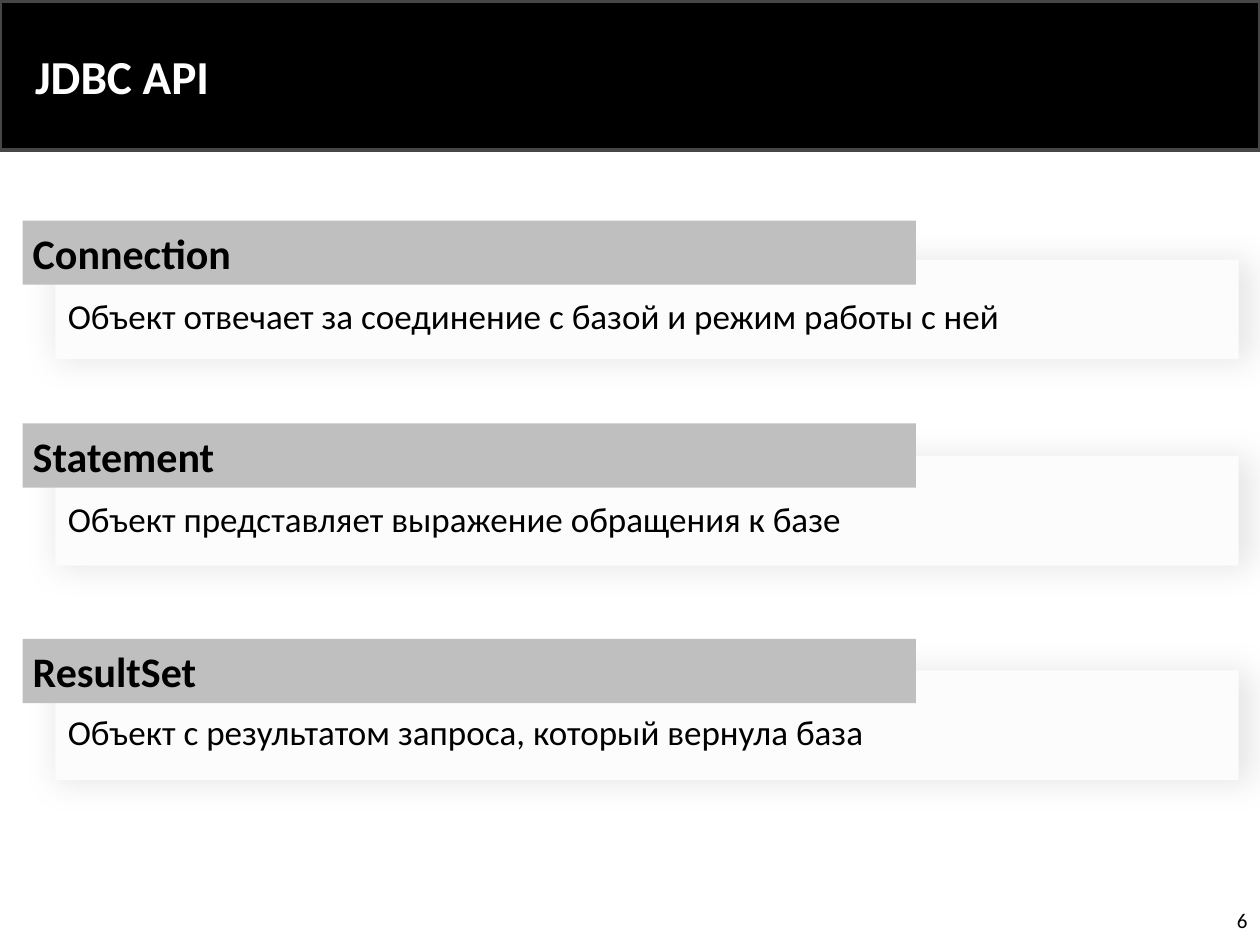
from dataclasses import dataclass

import lxml.etree
import pptx
import pptx.dml.color
import pptx.enum.shapes
import pptx.enum.text
import pptx.oxml
import pptx.oxml.ns
import pptx.util

COLUMNS, ROWS = 1000, 750
FONT = "Calibri"
COLORS = {
    "banner": "000000",
    "banner_edge": "464646",
    "heading": "BFBFBF",
    "panel": "FCFCFC",
    "shadow": "000000",
    "text": "000000",
    "title": "FFFFFF",
}
ANCHOR = pptx.enum.text.MSO_ANCHOR
ALIGN = pptx.enum.text.PP_ALIGN


@dataclass(frozen=True)
class Area:
    column: int
    row: int
    columns: int
    rows: int


@dataclass(frozen=True)
class Section:
    heading: str
    description: str
    heading_row: int
    panel_row: int
    panel_rows: int
    description_row: int


SECTIONS = [
    Section("Connection", "Объект отвечает за соединение с базой и режим работы с ней",
            175, 206, 79, 229),
    Section("Statement", "Объект представляет выражение обращения к базе",
            336, 362, 87, 390),
    Section("ResultSet", "Объект с результатом запроса, который вернула база",
            507, 532, 87, 559),
]

deck = pptx.Presentation()
deck.slide_width = pptx.util.Inches(10)
deck.slide_height = pptx.util.Inches(7.5)
slide = deck.slides.add_slide(deck.slide_layouts[6])


def color(name: str) -> pptx.dml.color.RGBColor:
    return pptx.dml.color.RGBColor.from_string(COLORS[name])


def place(area: Area) -> tuple[int, int, int, int]:
    cell_width = deck.slide_width / COLUMNS
    cell_height = deck.slide_height / ROWS
    return (round(area.column * cell_width), round(area.row * cell_height),
            round(area.columns * cell_width), round(area.rows * cell_height))


def add_block(area: Area, fill: str):
    block = slide.shapes.add_shape(pptx.enum.shapes.MSO_SHAPE.RECTANGLE, *place(area))
    block.shadow.inherit = False
    block.fill.solid()
    block.fill.fore_color.rgb = color(fill)
    block.line.fill.background()
    return block


def add_soft_shadow(block) -> None:
    effects = block._element.spPr.find(pptx.oxml.ns.qn("a:effectLst"))
    shadow = lxml.etree.SubElement(
        effects, pptx.oxml.ns.qn("a:outerShdw"),
        blurRad=str(pptx.util.Pt(19)), dist="0", dir="0",
        sx="101000", sy="101000", algn="tl", rotWithShape="0")
    tint = lxml.etree.SubElement(shadow, pptx.oxml.ns.qn("a:srgbClr"), val=COLORS["shadow"])
    lxml.etree.SubElement(tint, pptx.oxml.ns.qn("a:alpha"), val="10000")


def write(holder, text: str, size: int, ink: str = "text", bold: bool = False,
          anchor=ANCHOR.MIDDLE, align=ALIGN.LEFT) -> None:
    frame = holder.text_frame
    frame.word_wrap = True
    frame.vertical_anchor = anchor
    frame.text = text
    paragraph = frame.paragraphs[0]
    paragraph.alignment = align
    font = paragraph.runs[0].font
    font.name = FONT
    font.size = pptx.util.Pt(size)
    font.bold = bold
    font.color.rgb = color(ink)


def add_section(section: Section) -> None:
    panel = add_block(Area(44, section.panel_row, 939, section.panel_rows), "panel")
    add_soft_shadow(panel)

    heading = add_block(Area(18, section.heading_row, 709, 51), "heading")
    write(heading, section.heading, 24, bold=True)
    frame = heading.text_frame
    frame.margin_left = frame.margin_right = pptx.util.Inches(0.08)
    frame.margin_top = frame.margin_bottom = pptx.util.Inches(0.04)
    frame.paragraphs[0].space_after = pptx.util.Pt(6)

    description = slide.shapes.add_textbox(*place(Area(44, section.description_row, 913, 44)))
    write(description, section.description, 20, anchor=ANCHOR.TOP)
    description.text_frame.auto_size = pptx.enum.text.MSO_AUTO_SIZE.SHAPE_TO_FIT_TEXT


def main() -> None:
    banner = add_block(Area(0, 1, COLUMNS, 118), "banner")
    banner.line.color.rgb = color("banner_edge")
    banner.line.width = pptx.util.Pt(2)

    title = slide.shapes.add_textbox(*place(Area(18, 10, 815, 100)))
    write(title, "JDBC API", 27, ink="title", bold=True)

    for section in SECTIONS:
        add_section(section)

    page_number = slide.shapes.add_textbox(*place(Area(767, 710, 233, 40)))
    write(page_number, "6", 12, align=ALIGN.RIGHT)

    deck.save("out.pptx")


if __name__ == "__main__":
    main()
